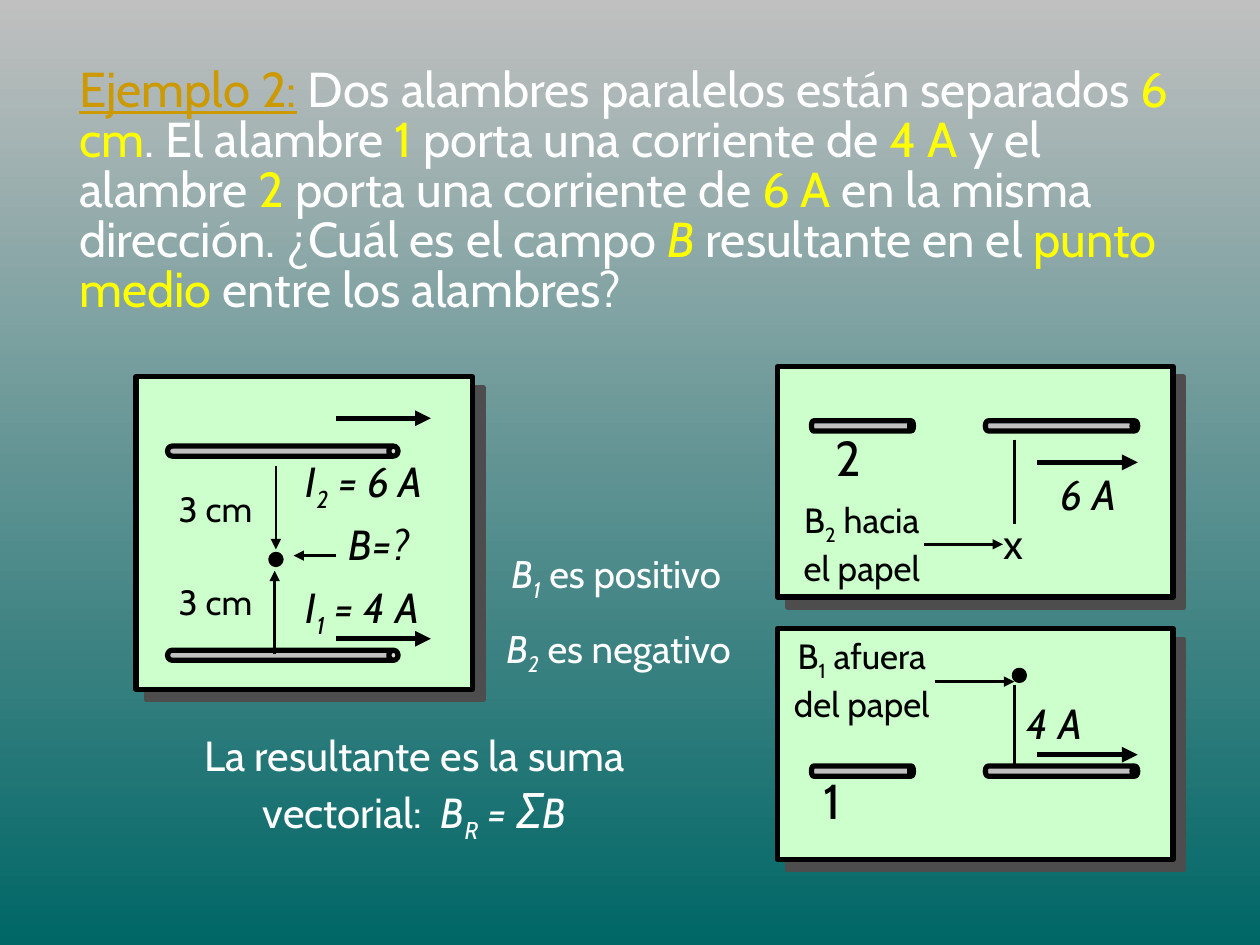
from lxml.etree import SubElement
from pptx import Presentation
from pptx.dml.color import RGBColor
from pptx.enum.shapes import MSO_CONNECTOR, MSO_SHAPE
from pptx.enum.text import MSO_ANCHOR, PP_ALIGN
from pptx.oxml.ns import qn
from pptx.util import Inches, Pt

THEME = {
    "font": "Cabin", "symbol_font": "Noto Sans",
    "bg_top": "C0C0C0", "bg_bottom": "006666",
    "panel": "CCFFCC", "wire": "C0C0C0", "shadow": "4D4D4D",
    "black": "000000", "white": "FFFFFF", "yellow": "FFFF00", "gold": "CC9900",
    "title": 28, "digit": 28, "value": 24, "note": 22, "label": 20,
    "thick": 3, "thin": 1.5,
}

# Runs are (text, flags): i italic, _ subscript, u underlined,
# y yellow, g gold, s large symbol
TITLE = [
    ("Ejemplo 2:", "ug"), (" Dos alambres paralelos están separados ", ""),
    ("6 cm", "y"), (". El alambre ", ""), ("1", "y"),
    (" porta una corriente de ", ""), ("4 A", "y"), (" y el alambre ", ""),
    ("2", "y"), (" porta una corriente de ", ""), ("6 A", "y"),
    (" en la misma dirección. ¿Cuál es el campo ", ""), ("B ", "yi"),
    ("resultante en el ", ""), ("punto medio", "y"),
    (" entre los alambres?", ""),
]
# left, top, width, height
PANELS = [(1.08, 2.99, 2.67, 2.48), (6.17, 4.99, 3.14, 1.83),
          (6.17, 2.91, 3.14, 1.83)]
# left, centre y, length, cap adjustment
WIRES = [(1.33, 5.2, 1.83, 0.917), (1.33, 3.58, 1.83, 0.917),
         (7.82, 6.12, 1.21, 0.564), (6.44, 6.12, 0.81, 0.375),
         (7.82, 3.38, 1.21, 0.564), (6.44, 3.38, 0.81, 0.375)]
DOTS = [(2.15, 4.4), (8.05, 5.32)]
CURRENTS = [(2.67, 5.07, 3.42, 5.07), (2.67, 3.32, 3.42, 3.32),
            (8.23, 5.99, 9.03, 5.99), (8.23, 3.67, 9.03, 3.67)]
POINTERS = [(2.18, 5.19, 2.18, 4.53), (2.19, 3.7, 2.19, 4.36),
            (2.67, 4.41, 2.33, 4.41), (7.42, 5.41, 8.05, 5.41),
            (7.33, 4.32, 7.96, 4.32)]
DISTANCES = [(8.05, 5.44, 8.05, 6.08), (8.05, 3.49, 8.05, 4.16)]

# box, runs, size, colour, centred
TEXTS = [
    ((2.33, 4.57, 1.58, 0.5), [("I", "i"), ("1", "i_"), (" = 4 A", "i")], "value", "black", False),
    ((2.33, 3.57, 1.58, 0.5), [("I", "i"), ("2", "i_"), (" = 6 A", "i")], "value", "black", False),
    ((2.67, 4.07, 1, 0.5), [("B=?", "i")], "value", "black", False),
    ((1.17, 3.82, 1.08, 0.43), [("3 cm", "")], "label", "black", True),
    ((1.17, 4.56, 1.08, 0.43), [("3 cm", "")], "label", "black", True),
    ((8.05, 5.49, 1.7, 0.5), [("4 A", "i")], "value", "black", False),
    ((8.32, 3.67, 0.81, 0.5), [("6 A", "i")], "value", "black", False),
    ((6.17, 4.99, 1.34, 0.77), [("B", ""), ("1", "_"), (" afuera del papel", "")], "label", "black", True),
    ((6.17, 3.91, 1.34, 0.77), [("B", ""), ("2", "_"), (" hacia el papel", "")], "label", "black", True),
    ((6.44, 6.07, 0.45, 0.57), [("1", "")], "digit", "black", False),
    ((6.53, 3.34, 0.45, 0.57), [("2", "")], "digit", "black", False),
    ((7.87, 4.06, 0.54, 0.5), [("x", "")], "value", "black", False),
    ((3.96, 4.32, 2.08, 0.47), [("B", "i"), ("1", "i_"), (" es positivo", "")], "note", "white", False),
    ((3.92, 4.91, 2.25, 0.47), [("B", "i"), ("2", "i_"), (" es negativo", "")], "note", "white", False),
    ((1.25, 5.74, 4.08, 0.97),
     [("La resultante es la suma vectorial:  ", ""), ("B", "i"), ("R", "i_"),
      (" = ", "i"), ("Σ", "is"), ("B", "i")], "value", "white", True),
]


def rgb(name):
    return RGBColor.from_string(THEME[name])


def add_text(slide, box, runs, size, color, centred=False):
    tf = slide.shapes.add_textbox(*map(Inches, box)).text_frame
    tf.word_wrap = True
    p = tf.paragraphs[0]
    p.alignment = PP_ALIGN.CENTER if centred else PP_ALIGN.LEFT
    p.font.name = THEME["font"]
    p.font.size = Pt(THEME[size])
    p.font.color.rgb = rgb(color)
    for text, flags in runs:
        r = p.add_run()
        r.text = text
        if "i" in flags:
            r.font.italic = True
        if "u" in flags:
            r.font.underline = True
        if "_" in flags:
            r.font._element.set("baseline", "-25000")
        if "s" in flags:
            r.font.name, r.font.size = THEME["symbol_font"], Pt(THEME["digit"])
        for flag, accent in (("y", "yellow"), ("g", "gold")):
            if flag in flags:
                r.font.color.rgb = rgb(accent)
    return tf


def add_solid(slide, kind, box, fill):
    sp = slide.shapes.add_shape(kind, *map(Inches, box))
    sp.shadow.inherit = False
    sp.fill.solid()
    sp.fill.fore_color.rgb = rgb(fill)
    sp.line.color.rgb = rgb("black")
    sp.line.width = Pt(THEME["thick"])
    return sp


def add_panel(slide, box):
    sp = add_solid(slide, MSO_SHAPE.RECTANGLE, box, "panel")
    effects = sp._element.spPr.find(qn("a:effectLst"))
    shadow = SubElement(effects, qn("a:outerShdw"), dist=str(Pt(8.5)),
                        dir="2700000", algn="ctr", rotWithShape="0")
    SubElement(shadow, qn("a:srgbClr"), val=THEME["shadow"])


def add_wire(slide, left, y, length, cap):
    """Lay an upright can on its side, centred on y."""
    thick = 0.08
    box = (left + (length - thick) / 2, y - length / 2, thick, length)
    sp = add_solid(slide, MSO_SHAPE.CAN, box, "wire")
    sp.adjustments[0] = cap
    sp.rotation = 90
    sp._element.spPr.find(qn("a:xfrm")).set("flipH", "1")


def add_line(slide, ends, weight, arrow=True):
    c = slide.shapes.add_connector(MSO_CONNECTOR.STRAIGHT, *map(Inches, ends))
    c.line.color.rgb = rgb("black")
    c.line.width = Pt(THEME[weight])
    if arrow:
        SubElement(c.line._get_or_add_ln(), qn("a:tailEnd"), type="triangle")
    SubElement(c._element.spPr, qn("a:effectLst"))


def main():
    prs = Presentation()
    prs.slide_width, prs.slide_height = Inches(10), Inches(7.5)
    slide = prs.slides.add_slide(prs.slide_layouts[6])
    bg = slide.background.fill
    bg.gradient()
    bg.gradient_angle = 270
    for stop, name in zip(bg.gradient_stops, ("bg_top", "bg_bottom")):
        stop.color.rgb = rgb(name)

    tf = add_text(slide, (0.53, 0.56, 9.22, 1.94), TITLE, "title", "white")
    tf.vertical_anchor = MSO_ANCHOR.MIDDLE
    tf.paragraphs[0].line_spacing = 0.85

    for box in PANELS:
        add_panel(slide, box)
    for wire in WIRES:
        add_wire(slide, *wire)
    for left, top in DOTS:
        add_solid(slide, MSO_SHAPE.OVAL, (left, top, 0.08, 0.08), "black")
    for ends in CURRENTS:
        add_line(slide, ends, "thick")
    for ends in POINTERS:
        add_line(slide, ends, "thin")
    for ends in DISTANCES:
        add_line(slide, ends, "thin", arrow=False)
    for text in TEXTS:
        add_text(slide, *text)
    prs.save("out.pptx")


if __name__ == "__main__":
    main()
